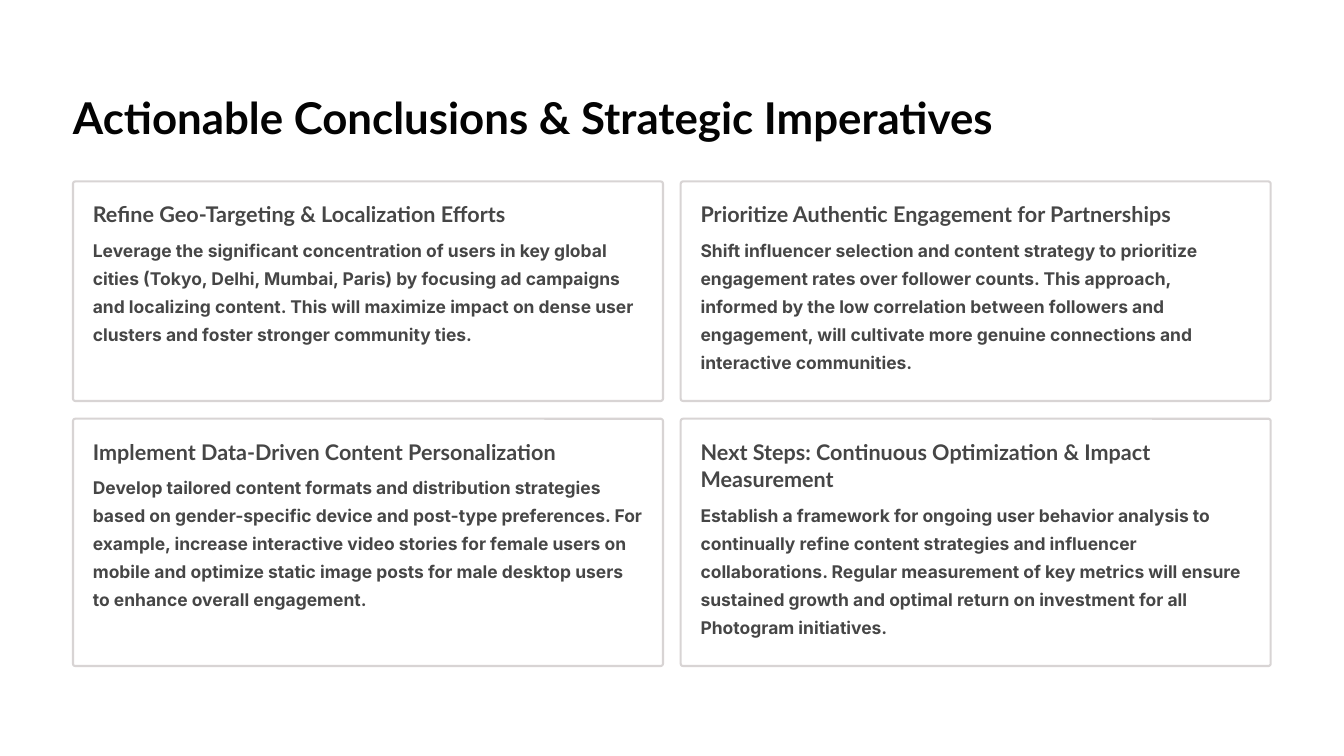
from dataclasses import dataclass

from pptx import Presentation
from pptx.dml.color import RGBColor
from pptx.enum.shapes import MSO_SHAPE
from pptx.util import Cm, Pt

ROUNDED = MSO_SHAPE.ROUNDED_RECTANGLE


@dataclass(frozen=True)
class Theme:
    paper: RGBColor = RGBColor(0xFF, 0xFF, 0xFF)
    border: RGBColor = RGBColor(0xD8, 0xD4, 0xD4)
    title: RGBColor = RGBColor(0x03, 0x03, 0x03)
    body: RGBColor = RGBColor(0x46, 0x46, 0x46)
    heading_font: str = "Lato"
    body_font: str = "Inter"
    title_size: float = 46.9
    heading_size: float = 23.1
    body_size: float = 18.7


THEME = Theme()

presentation = Presentation()
presentation.slide_width = Cm(50.8)
presentation.slide_height = Cm(28.58)
slide = presentation.slides.add_slide(presentation.slide_layouts[6])
slide.background.fill.solid()
slide.background.fill.fore_color.rgb = THEME.paper


def add_text(text, left, top, width, height, *, font, size, color, leading):
    """Add bold text in a box without insets; lengths in cm, leading in points."""
    box = slide.shapes.add_textbox(Cm(left), Cm(top), Cm(width), Cm(height))
    frame = box.text_frame
    frame.word_wrap = True
    frame.margin_left = frame.margin_top = frame.margin_right = frame.margin_bottom = 0
    paragraph = frame.paragraphs[0]
    paragraph.line_spacing = Pt(leading)
    run = paragraph.add_run()
    run.text = text
    run.font.name = font
    run.font.size = Pt(size)
    run.font.bold = True
    run.font.color.rgb = color


LEFT, TOP = 2.76, 6.86
CARD_WIDTH = 22.3
ROW_HEIGHTS = (8.3, 9.35)
GAP = 0.67
PADDING = 0.75
HEADING_OFFSET = 0.69
HEADING_GAP = 0.2
LINE_HEIGHT = 1.06
CORNER = 0.09

add_text("Actionable Conclusions & Strategic Imperatives", LEFT, 3.35, 38.5, 2.13,
         font=THEME.heading_font, size=THEME.title_size, color=THEME.title, leading=58.7)

# Each card: heading, heading width, heading lines, body, body lines
rows = (
    (
        ("Refine Geo-Targeting & Localization Efforts", 17.32, 1,
         "Leverage the significant concentration of users in key global cities "
         "(Tokyo, Delhi, Mumbai, Paris) by focusing ad campaigns and localizing content. "
         "This will maximize impact on dense user clusters and foster stronger "
         "community ties.", 4),
        ("Prioritize Authentic Engagement for Partnerships", 19.71, 1,
         "Shift influencer selection and content strategy to prioritize engagement rates "
         "over follower counts. This approach, informed by the low correlation between "
         "followers and engagement, will cultivate more genuine connections and "
         "interactive communities.", 5),
    ),
    (
        ("Implement Data-Driven Content Personalization", 19.38, 1,
         "Develop tailored content formats and distribution strategies based on "
         "gender-specific device and post-type preferences. For example, increase "
         "interactive video stories for female users on mobile and optimize static image "
         "posts for male desktop users to enhance overall engagement.", 5),
        ("Next Steps: Continuous Optimization & Impact Measurement", 20.8, 2,
         "Establish a framework for ongoing user behavior analysis to continually refine "
         "content strategies and influencer collaborations. Regular measurement of key "
         "metrics will ensure sustained growth and optimal return on investment for all "
         "Photogram initiatives.", 5),
    ),
)

card_top = TOP
for row, card_height in zip(rows, ROW_HEIGHTS):
    for column, (heading, heading_width, heading_lines, body, body_lines) in enumerate(row):
        card_left = LEFT + column * (CARD_WIDTH + GAP)
        card = slide.shapes.add_shape(
            ROUNDED, Cm(card_left), Cm(card_top), Cm(CARD_WIDTH), Cm(card_height))
        card.adjustments[0] = CORNER / card_height
        card.shadow.inherit = False
        card.fill.solid()
        card.fill.fore_color.rgb = THEME.paper
        card.line.color.rgb = THEME.border
        card.line.width = Pt(2.25)

        text_left = card_left + PADDING
        heading_top = card_top + HEADING_OFFSET
        heading_height = heading_lines * LINE_HEIGHT
        add_text(heading, text_left, heading_top, heading_width, heading_height,
                 font=THEME.heading_font, size=THEME.heading_size,
                 color=THEME.body, leading=29.4)
        add_text(body, text_left, heading_top + heading_height + HEADING_GAP,
                 CARD_WIDTH - 2 * PADDING, body_lines * LINE_HEIGHT,
                 font=THEME.body_font, size=THEME.body_size,
                 color=THEME.body, leading=30)
    card_top += card_height + GAP

presentation.save("out.pptx")
